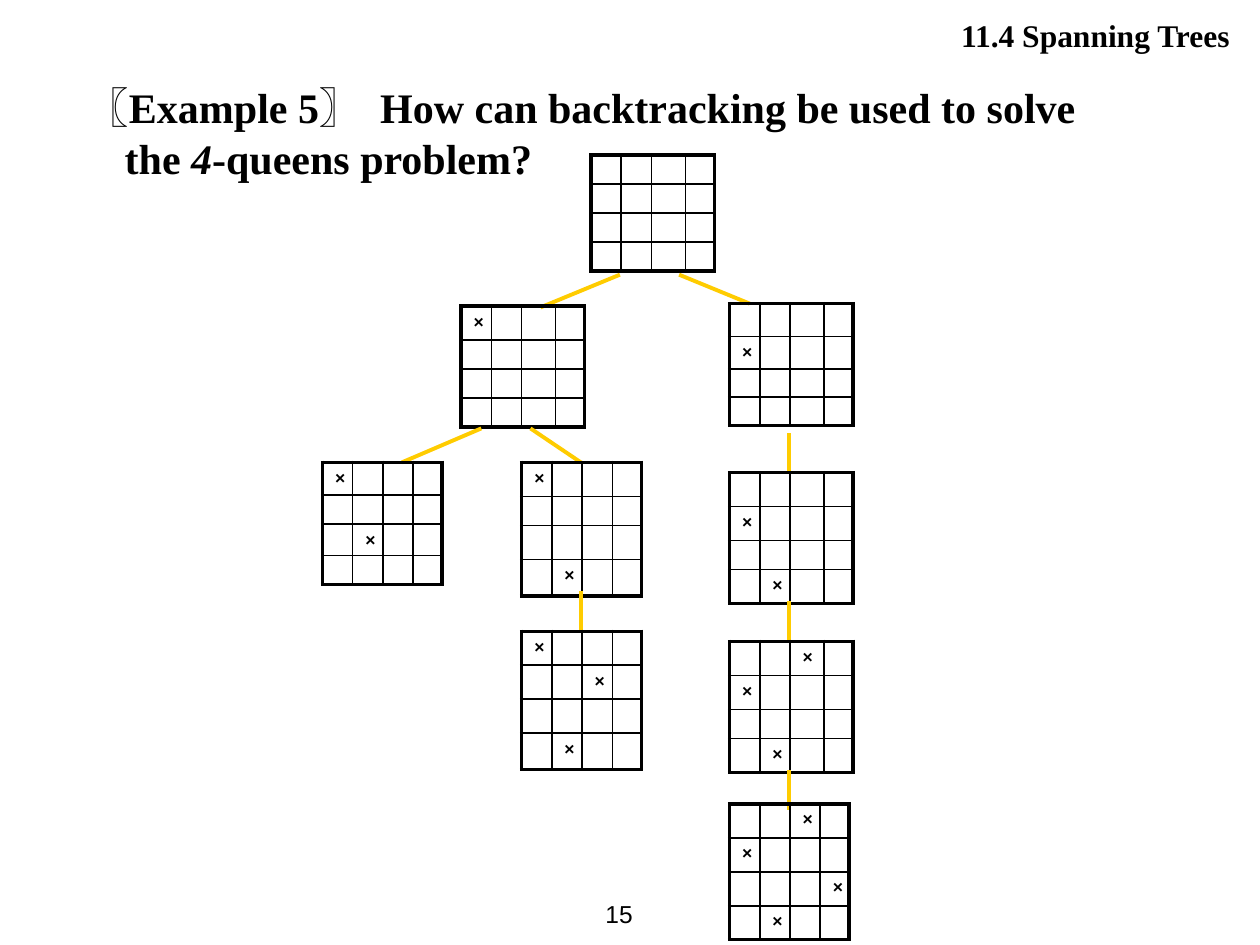
from dataclasses import dataclass
from typing import Optional

from lxml import etree
from pptx import Presentation
from pptx.dml.color import RGBColor
from pptx.enum.shapes import MSO_CONNECTOR
from pptx.enum.text import MSO_ANCHOR, MSO_AUTO_SIZE, PP_ALIGN
from pptx.oxml.ns import qn
from pptx.util import Emu, Inches, Pt

STRAIGHT = MSO_CONNECTOR.STRAIGHT
TOP, MIDDLE = MSO_ANCHOR.TOP, MSO_ANCHOR.MIDDLE
LEFT, RIGHT = PP_ALIGN.LEFT, PP_ALIGN.RIGHT
NO_AUTOSIZE = MSO_AUTO_SIZE.NONE

BLACK = RGBColor(0x00, 0x00, 0x00)
GOLD = RGBColor(0xFF, 0xCC, 0x00)
SERIF, SANS = "Times New Roman", "Arial"
TITLE_ONLY = 5
QUEENS = 4
QUEEN_MARK = "×"
THIN, THICK = Pt(1), Pt(2.25)

# The slide is a grid of 100 columns by 75 rows of square units
SLIDE_WIDTH, SLIDE_HEIGHT = Inches(10), Inches(7.5)
GRID_COLUMNS = 100

WIDE_THIRD = (2.4, 2.4, 2.7, 2.3)
EVEN = (2.4, 2.4, 2.4, 2.3)
LATE_ROWS = (2.7, 2.7, 2.3, 2.7)


@dataclass(frozen=True)
class Branch:
    """A tree edge, from the parent board down to the child."""
    start: tuple[float, float]
    end: tuple[float, float]


@dataclass(frozen=True)
class Board:
    """A chessboard; queens are (row, column) squares."""
    left: float
    top: float
    columns: tuple[float, ...]
    rows: tuple[float, ...]
    queens: tuple[tuple[int, int], ...] = ()
    branch: Optional[Branch] = None


# Search tree, each board with the branch that leads to it
SEARCH_TREE = (
    Board(46.9, 12.3, WIDE_THIRD, (2.3,) * QUEENS),
    # Left subtree: first queen in the top row
    Board(36.6, 24.3, WIDE_THIRD, (2.7, 2.3, 2.3, 2.3), ((0, 0),),
          Branch((49.2, 21.8), (42.9, 24.4))),
    Board(25.6, 36.7, EVEN, (2.6, 2.3, 2.5, 2.3), ((0, 0), (2, 1)),
          Branch((38.2, 34), (31.9, 36.7))),
    Board(41.4, 36.7, EVEN, (2.7, 2.3, 2.7, 2.9), ((0, 0), (3, 1)),
          Branch((42.1, 34), (46.1, 36.7))),
    Board(41.4, 50.1, EVEN, (2.7, 2.7, 2.7, 2.9), ((0, 0), (1, 2), (3, 1)),
          Branch((46.1, 46.9), (46.1, 50.1))),
    # Right subtree: first queen in the second row
    Board(57.9, 24.1, WIDE_THIRD, (2.6, 2.6, 2.2, 2.3), ((1, 0),),
          Branch((53.9, 21.8), (59.5, 24.1))),
    Board(57.9, 37.5, WIDE_THIRD, LATE_ROWS, ((1, 0), (3, 1)),
          Branch((62.6, 34.4), (62.6, 37.5))),
    Board(57.9, 50.9, WIDE_THIRD, LATE_ROWS, ((0, 2), (1, 0), (3, 1)),
          Branch((62.6, 47.7), (62.6, 50.9))),
    Board(57.9, 63.8, EVEN, (2.7,) * QUEENS, ((0, 2), (1, 0), (2, 3), (3, 1)),
          Branch((62.6, 61.1), (62.6, 64.3))),
)


def grid(units: float) -> Emu:
    return Emu(round(SLIDE_WIDTH * units / GRID_COLUMNS))


def add_run(paragraph, text: str, size: float, face: str,
            bold: bool = False, italic: bool = False) -> None:
    run = paragraph.add_run()
    run.text = text
    run.font.size, run.font.name = Pt(size), face
    run.font.bold, run.font.italic = bold, italic
    run.font.color.rgb = BLACK


def add_label(slide, text: str, box: tuple[float, ...], size: float,
              face: str, bold: bool, right_inset: float, anchor) -> None:
    frame = slide.shapes.add_textbox(*map(grid, box)).text_frame
    frame.word_wrap = True
    frame.vertical_anchor = anchor
    frame.margin_right = grid(right_inset)
    paragraph = frame.paragraphs[0]
    paragraph.alignment = RIGHT
    add_run(paragraph, text, size, face, bold)


def draw_branch(slide, branch: Branch) -> None:
    line = slide.shapes.add_connector(
        STRAIGHT, *map(grid, branch.start + branch.end))
    line.line.color.rgb = GOLD
    line.line.width = THICK
    etree.SubElement(line._element.spPr, qn("a:effectLst"))


def set_borders(cell, row: int, column: int) -> None:
    outer_sides = {"a:lnL": column == 0, "a:lnR": column == QUEENS - 1,
                   "a:lnT": row == 0, "a:lnB": row == QUEENS - 1}
    properties = cell._tc.get_or_add_tcPr()
    for position, (side, is_outer) in enumerate(outer_sides.items()):
        border = etree.Element(qn(side), w=str(THICK if is_outer else THIN))
        fill = etree.SubElement(border, qn("a:solidFill"))
        etree.SubElement(fill, qn("a:srgbClr"), val=str(BLACK))
        properties.insert(position, border)


def draw_board(slide, board: Board) -> None:
    table = slide.shapes.add_table(
        QUEENS, QUEENS, grid(board.left), grid(board.top),
        grid(sum(board.columns)), grid(sum(board.rows))).table
    table.first_row = table.horz_banding = False
    for column, width in zip(table.columns, board.columns):
        column.width = grid(width)
    for row, height in zip(table.rows, board.rows):
        row.height = grid(height)

    for row in range(QUEENS):
        for column in range(QUEENS):
            cell = table.cell(row, column)
            cell.fill.background()
            cell.margin_left, cell.margin_right = grid(1), grid(0)
            cell.margin_top, cell.margin_bottom = grid(0.5), grid(0)
            set_borders(cell, row, column)
            paragraph = cell.text_frame.paragraphs[0]
            if (row, column) in board.queens:
                add_run(paragraph, QUEEN_MARK, 10, SANS, bold=True)
            else:
                # Small type keeps empty squares from stretching their row
                etree.SubElement(paragraph._p, qn("a:endParaRPr"), sz="800")


def write_question(slide) -> None:
    title = slide.shapes.title
    title.left, title.top, title.width, title.height = map(
        grid, (5.1, 6, 86, 7.4))
    frame = title.text_frame
    frame.word_wrap = True
    frame.auto_size = NO_AUTOSIZE
    frame.vertical_anchor = TOP
    paragraph = frame.paragraphs[0]
    paragraph.alignment = LEFT
    hanging = paragraph._p.get_or_add_pPr()
    hanging.set("marL", str(grid(3.8)))
    hanging.set("indent", str(-grid(3)))
    add_run(paragraph,
            "〖Example 5〗  How can backtracking be used to solve the ",
            24, SERIF, bold=True)
    add_run(paragraph, "4", 24, SERIF, bold=True, italic=True)
    add_run(paragraph, "-queens problem?", 24, SERIF, bold=True)


def main() -> None:
    presentation = Presentation()
    presentation.slide_width = SLIDE_WIDTH
    presentation.slide_height = SLIDE_HEIGHT
    slide = presentation.slides.add_slide(
        presentation.slide_layouts[TITLE_ONLY])

    # Page number and question
    add_label(slide, "15", (44.5, 70, 6.7, 5), 14, SANS, False, 1, MIDDLE)
    write_question(slide)

    # Search tree
    for board in SEARCH_TREE:
        if board.branch:
            draw_branch(slide, board.branch)
        draw_board(slide, board)

    # Section header
    add_label(slide, "11.4 Spanning Trees", (39.8, 0.8, 59.4, 4),
              18, SERIF, True, 1.6, TOP)

    presentation.save("out.pptx")


if __name__ == "__main__":
    main()
